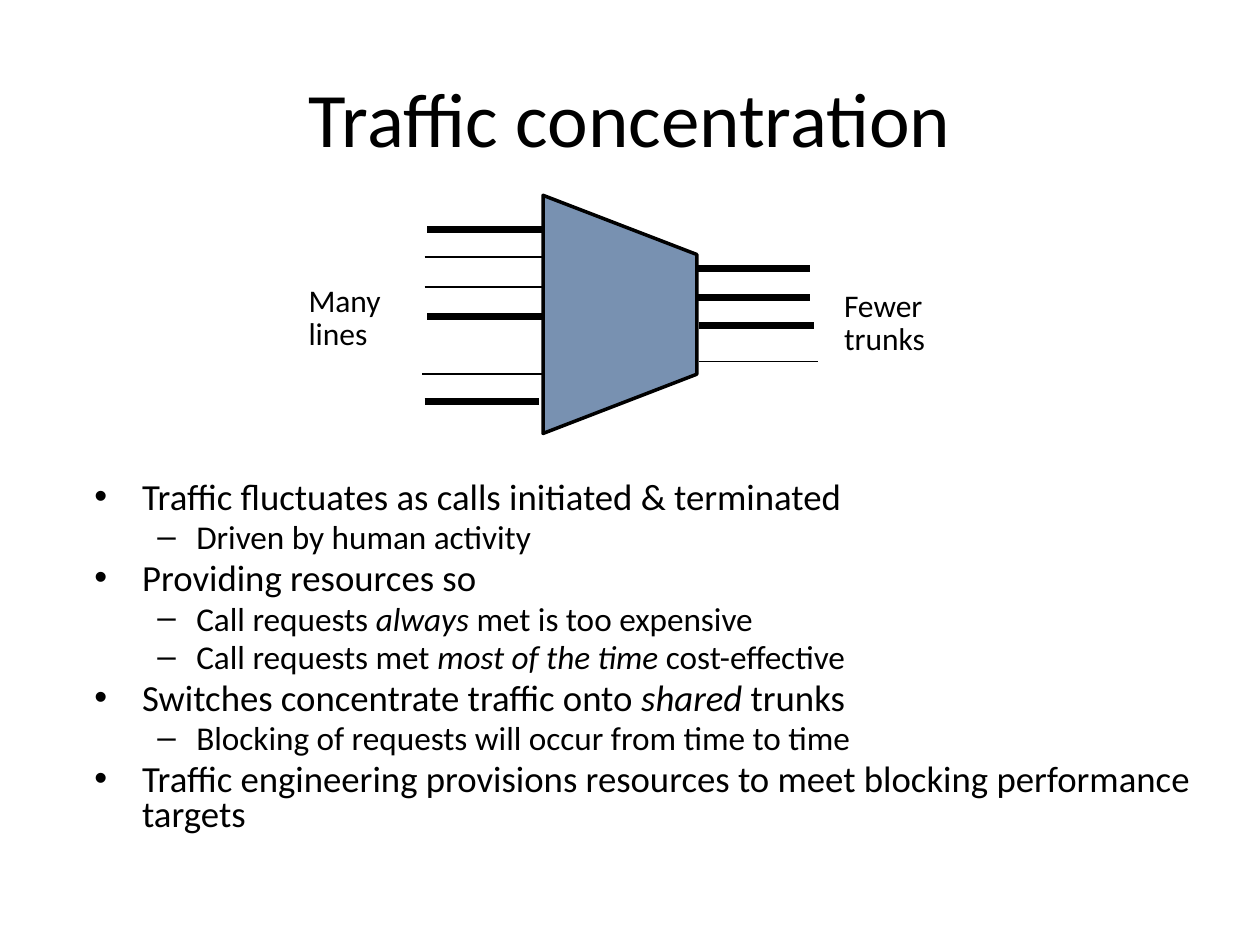
from lxml import etree
from pptx import Presentation
from pptx.dml.color import RGBColor
from pptx.enum import shapes, text
from pptx.oxml.ns import qn
from pptx.util import Inches, Pt

# Content
TITLE = "Traffic concentration"
# (level, runs); every second run is italic
POINTS = [
    (0, ["Traffic fluctuates as calls initiated & terminated"]),
    (1, ["Driven by human activity"]),
    (0, ["Providing resources so"]),
    (1, ["Call requests ", "always", " met is too expensive"]),
    (1, ["Call requests met ", "most of the time", " cost-effective"]),
    (0, ["Switches concentrate traffic onto ", "shared", " trunks"]),
    (1, ["Blocking of requests will occur from time to time"]),
    (0, ["Traffic engineering provisions resources to meet blocking performance targets"]),
]
LABELS = [(["Many", "lines"], (2.35, 2.23, 0.81, 0.61)),
          (["Fewer", "trunks"], (6.6, 2.27, 0.89, 0.61))]
BUSY, IDLE = 4, 1  # line widths in points
# (left, right, y, width)
LINES = [
    (3.39, 4.3, 1.82, BUSY), (3.37, 4.32, 2.04, IDLE), (3.37, 4.32, 2.28, IDLE),
    (3.39, 4.3, 2.51, BUSY), (3.35, 4.3, 2.97, IDLE), (3.37, 4.28, 3.19, BUSY),
]
TRUNKS = [
    (5.52, 6.43, 2.13, BUSY), (5.52, 6.43, 2.36, BUSY),
    (5.55, 6.46, 2.58, BUSY), (5.55, 6.49, 2.87, IDLE),
]
CONCENTRATOR = [(4.31, 1.55), (5.53, 2.02), (5.53, 2.97), (4.31, 3.44)]

# Style
COLORS = {"ink": "000000", "concentrator": "1F497D"}
FONT = "Calibri"
LEVELS = [  # per bullet level
    {"size": 21, "bullet": "•", "left": 0.38, "hang": 0.38},
    {"size": 19, "bullet": "–", "left": 0.81, "hang": 0.31},
]


def color(name):
    return RGBColor.from_string(COLORS[name])


def style(paragraph, size):
    paragraph.font.name = FONT
    paragraph.font.size = Pt(size)
    paragraph.font.color.rgb = color("ink")


def add_frame(slide, box, wrap=True):
    frame = slide.shapes.add_textbox(*map(Inches, box)).text_frame
    frame.word_wrap = wrap
    return frame


def paragraphs(frame, items):
    for i, item in enumerate(items):
        yield (frame.add_paragraph() if i else frame.paragraphs[0]), item


def add_bullet(paragraph, level):
    props = paragraph._p.get_or_add_pPr()
    props.set("marL", str(Inches(level["left"])))
    props.set("indent", str(-Inches(level["hang"])))
    etree.SubElement(props, qn("a:buFont")).set("typeface", "Arial")
    etree.SubElement(props, qn("a:buChar")).set("char", level["bullet"])


def add_title(slide):
    frame = add_frame(slide, (0.5, 0.3, 9, 1.25))
    frame.vertical_anchor = text.MSO_ANCHOR.MIDDLE
    title = frame.paragraphs[0]
    title.text = TITLE
    title.alignment = text.PP_ALIGN.CENTER
    style(title, 44)


def add_points(slide):
    frame = add_frame(slide, (0.65, 3.78, 9, 3.16))
    for point, (depth, runs) in paragraphs(frame, POINTS):
        level = LEVELS[depth]
        point.level = depth
        add_bullet(point, level)
        point.line_spacing = 0.8
        point.space_before = Pt(0 if depth == 0 and runs is POINTS[0][1]
                                else round(level["size"] * 0.2, 1))
        style(point, level["size"])
        for i, words in enumerate(runs):
            run = point.add_run()
            run.text = words
            if i % 2:
                run.font.italic = True


def add_concentrator(slide):
    start, *rest = [(Inches(x), Inches(y)) for x, y in CONCENTRATOR]
    builder = slide.shapes.build_freeform(*start)
    builder.add_line_segments(rest, close=True)
    body = builder.convert_to_shape()
    body.shadow.inherit = False
    body.fill.solid()
    body.fill.fore_color.rgb = color("concentrator")
    tint = body._element.spPr.find(qn("a:solidFill"))[0]
    etree.SubElement(tint, qn("a:alpha")).set("val", "60000")
    body.line.color.rgb = color("ink")
    body.line.width = Pt(2)


def add_wire(slide, left, right, y, width):
    wire = slide.shapes.add_connector(
        shapes.MSO_CONNECTOR.STRAIGHT, Inches(left), Inches(y), Inches(right), Inches(y))
    wire.line.color.rgb = color("ink")
    wire.line.width = Pt(width)
    etree.SubElement(wire._element.spPr, qn("a:effectLst"))


def add_label(slide, words, box):
    frame = add_frame(slide, box, wrap=False)
    frame.auto_size = text.MSO_AUTO_SIZE.SHAPE_TO_FIT_TEXT
    for paragraph, word in paragraphs(frame, words):
        paragraph.text = word
        paragraph.line_spacing = 0.85
        style(paragraph, 18)


def main():
    deck = Presentation()
    deck.slide_width, deck.slide_height = Inches(10), Inches(7.5)
    slide = deck.slides.add_slide(deck.slide_layouts[6])

    add_title(slide)
    add_points(slide)

    # Diagram: many lines in, fewer trunks out
    add_concentrator(slide)
    for wire in LINES + TRUNKS:
        add_wire(slide, *wire)
    for words, box in LABELS:
        add_label(slide, words, box)

    deck.save("out.pptx")


if __name__ == "__main__":
    main()
